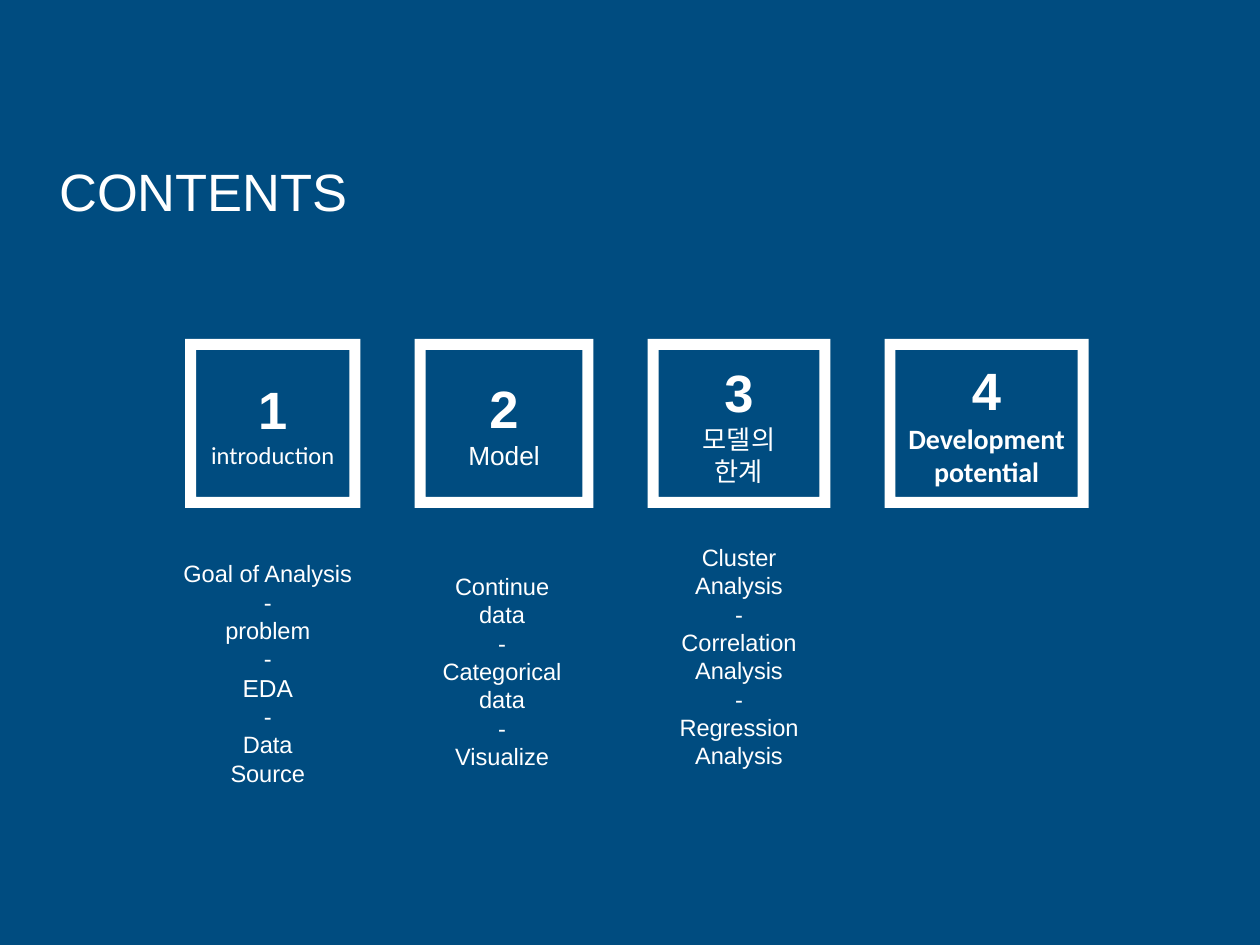
from pptx import Presentation
from pptx.dml.color import RGBColor as RGB
from pptx.enum.shapes import MSO_SHAPE as Shape
from pptx.enum.text import MSO_ANCHOR as Anchor, MSO_AUTO_SIZE as Fit, PP_ALIGN as Align
from pptx.util import Inches, Pt

COLORS = {"back": "004C80", "ink": "FFFFFF"}
TITLE = "CONTENTS"
HEADS = [
    {"width": 1.39, "lines": ["introduction"], "font": {"size": Pt(14), "name": "Calibri"}},
    {"width": 1.42, "lines": ["Model"], "font": {"size": Pt(15)}},
    {"width": 1.45, "lines": ["모델의", "한계"], "font": {"size": Pt(15)}},
    {"width": 1.62, "lines": ["Development potential"],
     "font": {"size": Pt(16), "name": "Calibri", "bold": True}},
]
LISTS = [
    ((1.28, 4.39, 1.69, 1.94),
     ["Goal of Analysis", "-", "problem", "-", "EDA", "-", "Data", "Source"]),
    ((3.26, 4.49, 1.45, 1.69),
     ["Continue", "data", "-", "Categorical", "data", "-", "Visualize"]),
    ((5.14, 4.26, 1.45, 1.92),
     ["Cluster", "Analysis", "-", "Correlation Analysis", "-", "Regression Analysis"]),
]
LEFT, TOP, HIGH, GAP = 1.47, 2.69, 1.34, 0.43
BASE = {"name": "Arial", "bold": False}
NUMBER = {"size": Pt(30), "bold": True}
ITEM = {"size": Pt(13.5)}
SIZES = {"EDA": Pt(14)}


def color(key):
    return RGB.from_string(COLORS[key])


def apply(obj, values):
    for key, val in values.items():
        setattr(obj, key, val)


def write(shape, lines, anchor, align=Align.CENTER, **para):
    frame = shape.text_frame
    apply(frame, {"word_wrap": True, "auto_size": Fit.NONE, "vertical_anchor": anchor})
    for i, (text, font) in enumerate(lines):
        line = frame.paragraphs[0] if i == 0 else frame.add_paragraph()
        apply(line, {"alignment": align, **para})
        run = line.add_run()
        run.text = text
        apply(run.font, {**BASE, **font})
        run.font.color.rgb = color("ink")


def main():
    """Build the contents slide."""
    deck = Presentation()
    apply(deck, {"slide_width": Inches(10), "slide_height": Inches(7.5)})
    slide = deck.slides.add_slide(deck.slide_layouts[5])
    back = slide.background.fill
    back.solid()
    back.fore_color.rgb = color("back")

    title = slide.shapes.title
    apply(title, {"left": Inches(0.37), "top": Inches(1.25),
                  "width": Inches(2.61), "height": Inches(0.58)})
    write(title, [(TITLE, {"size": Pt(30)})], Anchor.MIDDLE, Align.JUSTIFY,
          line_spacing=0.9, space_before=Pt(10))

    left = LEFT
    for num, head in enumerate(HEADS, 1):
        area = map(Inches, (left, TOP, head["width"], HIGH))
        box = slide.shapes.add_shape(Shape.FRAME, *area)
        box.adjustments[0] = 0.065
        box.shadow.inherit = False
        box.fill.solid()
        box.fill.fore_color.rgb = color("ink")
        box.line.fill.background()
        lines = [(text, head["font"]) for text in head["lines"]]
        write(box, [(str(num), NUMBER)] + lines, Anchor.MIDDLE)
        left += head["width"] + GAP

    for area, items in LISTS:
        box = slide.shapes.add_textbox(*map(Inches, area))
        lines = [(text, {"size": SIZES.get(text, ITEM["size"])}) for text in items]
        write(box, lines, Anchor.TOP)

    deck.save("out.pptx")


if __name__ == "__main__":
    main()
